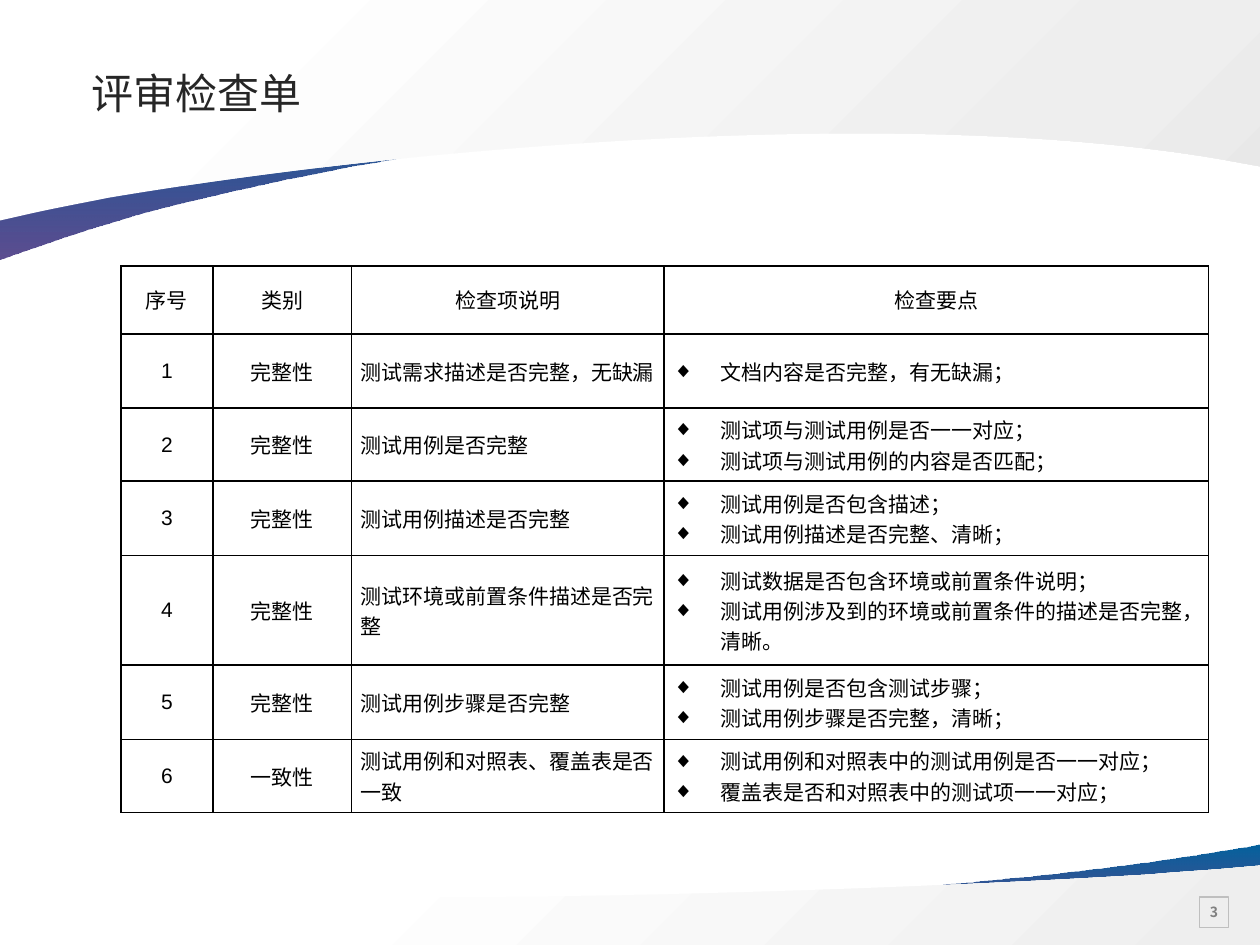
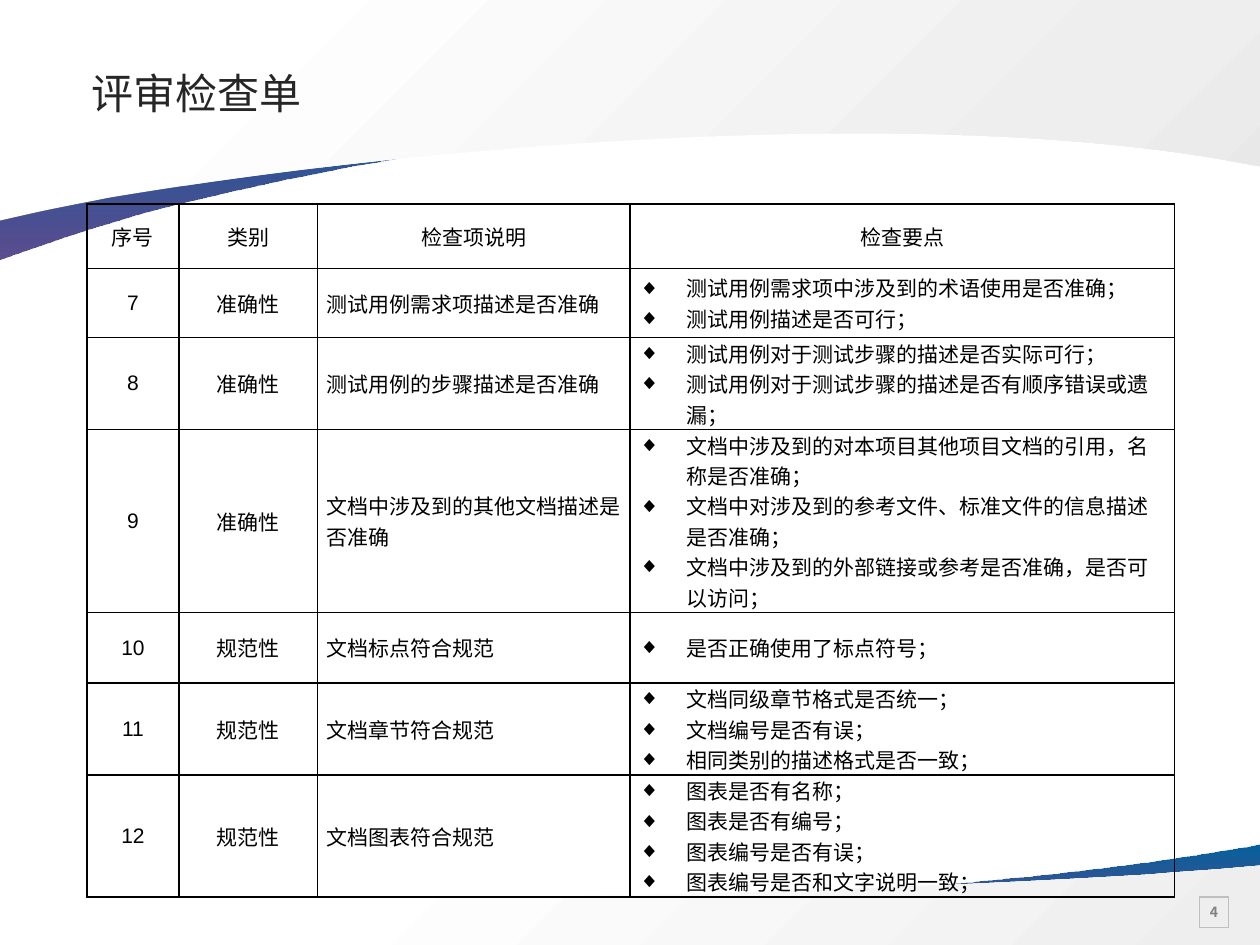
import pptx
import pptx.util
import pptx.dml.color
import pptx.enum.shapes
import pptx.enum.text
import pptx.oxml.ns
from lxml import etree

Inches, Pt, qn = pptx.util.Inches, pptx.util.Pt, pptx.oxml.ns.qn
ALIGN = pptx.enum.text.PP_ALIGN
MIDDLE = pptx.enum.text.MSO_ANCHOR.MIDDLE

# Content
TITLE = "评审检查单"
HEADINGS = ("序号", "类别", "检查项说明", "检查要点")
CHECKLISTS = [
    {
        "page": 3, "left": 0.96, "top": 2.11,
        "heights": (0.54, 0.59, 0.58, 0.59, 0.87, 0.59, 0.58),
        "checks": [
            ("完整性", "测试需求描述是否完整，无缺漏", ["文档内容是否完整，有无缺漏；"]),
            ("完整性", "测试用例是否完整",
             ["测试项与测试用例是否一一对应；", "测试项与测试用例的内容是否匹配；"]),
            ("完整性", "测试用例描述是否完整",
             ["测试用例是否包含描述；", "测试用例描述是否完整、清晰；"]),
            ("完整性", "测试环境或前置条件描述是否完整",
             ["测试数据是否包含环境或前置条件说明；",
              "测试用例涉及到的环境或前置条件的描述是否完整，清晰。"]),
            ("完整性", "测试用例步骤是否完整",
             ["测试用例是否包含测试步骤；", "测试用例步骤是否完整，清晰；"]),
            ("一致性", "测试用例和对照表、覆盖表是否一致",
             ["测试用例和对照表中的测试用例是否一一对应；",
              "覆盖表是否和对照表中的测试项一一对应；"]),
        ],
    },
    {
        "page": 4, "left": 0.69, "top": 1.62,
        "heights": (0.51, 0.55, 0.73, 1.45, 0.56, 0.73, 0.97),
        "checks": [
            ("准确性", "测试用例需求项描述是否准确",
             ["测试用例需求项中涉及到的术语使用是否准确；", "测试用例描述是否可行；"]),
            ("准确性", "测试用例的步骤描述是否准确",
             ["测试用例对于测试步骤的描述是否实际可行；",
              "测试用例对于测试步骤的描述是否有顺序错误或遗漏；"]),
            ("准确性", "文档中涉及到的其他文档描述是否准确",
             ["文档中涉及到的对本项目其他项目文档的引用，名称是否准确；",
              "文档中对涉及到的参考文件、标准文件的信息描述是否准确；",
              "文档中涉及到的外部链接或参考是否准确，是否可以访问；"]),
            ("规范性", "文档标点符合规范", ["是否正确使用了标点符号；"]),
            ("规范性", "文档章节符合规范",
             ["文档同级章节格式是否统一；", "文档编号是否有误；", "相同类别的描述格式是否一致；"]),
            ("规范性", "文档图表符合规范",
             ["图表是否有名称；", "图表是否有编号；", "图表编号是否有误；",
              "图表编号是否和文字说明一致；"]),
        ],
    },
]

# Shared look
COLORS = {"blue": "04619D", "purple": "342275", "white": "FFFFFF", "pale": "EEEEEE",
          "gray": "E8E8E8", "frame": "BFBFBF", "number": "808080",
          "title": "262626", "text": "000000"}
CJK_FONT, TABLE_FONT = "Noto Sans CJK SC", "Arial"
COLUMN_WIDTHS = (0.73, 1.1, 2.48, 4.32)
BULLET_INDENT = 0.38

# Gradient stops: position %, colour, opacity %
RIBBON = ([(0, "blue", 100), (100, "purple", 80)], 90)
# Outlines: a pair is a line to a point, a six is a Bézier curve
BANDS = [
    (RIBBON,
     [(10, 6.7), (10, 7.35), (0, 7.35), (0, 7.08), (0.01, 7.08),
      (2.26, 7.41, 6.15, 7.17, 8.39, 6.93), (8.84, 6.88, 9.35, 6.81, 9.89, 6.72)]),
    (([(26, "white", 100), (100, "pale", 100)], 45),
     [(10, 6.87), (10, 7.12), (10, 7.15), (10, 7.5), (0, 7.5), (0, 7.15), (0, 7.12),
      (0, 7.03), (0.33, 7.05),
      (2.94, 7.21, 6.83, 7.08, 9.14, 6.94), (9.34, 6.92, 9.56, 6.91, 9.78, 6.89)]),
    (RIBBON,
     [(0, 2.06), (0, 0.66), (10, 0.66), (10, 1.24), (9.99, 1.23),
      (7.74, 0.53, 3.85, 1.03, 1.61, 1.57), (1.16, 1.67, 0.65, 1.83, 0.11, 2.02)]),
    (([(17, "white", 100), (81, "pale", 100), (100, "gray", 100)], 45),
     [(0, 1.75), (0, 1.05), (0, 0.99), (0, 0), (10, 0), (10, 0.99), (10, 1.05),
      (10, 1.32), (9.67, 1.26),
      (7.06, 0.82, 3.17, 1.18, 0.86, 1.57), (0.66, 1.61, 0.44, 1.65, 0.22, 1.7)]),
]


def rgb(name):
    return pptx.dml.color.RGBColor.from_string(COLORS[name])


def format_text(paragraph, font, size, color, align, bold=False):
    paragraph.alignment = align
    for run in paragraph.runs:
        run.font.name, run.font.size, run.font.bold = font, Pt(size), bold
        run.font.color.rgb = rgb(color)
        etree.SubElement(run.font._element, qn("a:ea"), typeface=CJK_FONT)


def set_margins(frame, left, top, right, bottom):
    frame.margin_left, frame.margin_top = Inches(left), Inches(top)
    frame.margin_right, frame.margin_bottom = Inches(right), Inches(bottom)


def bend_curves(band, outline):
    """Turn the straight segments of the six-number parts into Bézier curves."""
    segments = list(band._element.spPr.find(".//" + qn("a:path")))
    for segment, part in zip(segments, outline):
        if len(part) == 6:
            curve = etree.Element(qn("a:cubicBezTo"))
            for x, y in zip(part[::2], part[1::2]):
                etree.SubElement(curve, qn("a:pt"), x=str(Inches(x) - band.left),
                                 y=str(Inches(y) - band.top))
            segment.getparent().replace(segment, curve)


def add_band(slide, gradient, outline):
    stops, angle = gradient
    points = [(Inches(part[-2]), Inches(part[-1])) for part in outline]
    builder = slide.shapes.build_freeform(*points[0])
    builder.add_line_segments(points[1:], close=True)
    band = builder.convert_to_shape()
    bend_curves(band, outline)
    band.shadow.inherit = False
    band.line.fill.background()
    band.fill.gradient()
    band.fill.gradient_angle = 360 - angle
    stop_list = band._element.spPr.find(".//" + qn("a:gsLst"))
    for old_stop in list(stop_list):
        stop_list.remove(old_stop)
    for position, color, opacity in stops:
        stop = etree.SubElement(stop_list, qn("a:gs"), pos=str(position * 1000))
        shade = etree.SubElement(stop, qn("a:srgbClr"), val=COLORS[color])
        if opacity < 100:
            etree.SubElement(shade, qn("a:alpha"), val=str(opacity * 1000))
    return band


def add_title(slide):
    title = slide.shapes.title
    title.left, title.top = Inches(0.65), Inches(0.47)
    title.width, title.height = Inches(7.76), Inches(0.58)
    frame = title.text_frame
    frame.text = TITLE
    frame.auto_size = pptx.enum.text.MSO_AUTO_SIZE.NONE
    frame.vertical_anchor = MIDDLE
    set_margins(frame, 0.08, 0.08, 0, 0.08)
    frame.paragraphs[0].line_spacing = 0.9
    format_text(frame.paragraphs[0], CJK_FONT, 24, "title", ALIGN.LEFT)


def add_page_number(slide, page):
    number = slide.shapes.add_shape(pptx.enum.shapes.MSO_SHAPE.RECTANGLE, Inches(9.52),
                                    Inches(7.12), Inches(0.23), Inches(0.24))
    number.shadow.inherit = False
    number.fill.background()
    number.line.color.rgb, number.line.width = rgb("frame"), Pt(0.75)
    frame = number.text_frame
    frame.text = str(page)
    frame.word_wrap, frame.vertical_anchor = False, MIDDLE
    set_margins(frame, 0.08, 0.08, 0.08, 0.08)
    format_text(frame.paragraphs[0], CJK_FONT, 8, "number", ALIGN.CENTER, bold=True)


def add_borders(cell):
    properties = cell._tc.get_or_add_tcPr()
    for place, side in enumerate(("lnL", "lnR", "lnT", "lnB")):
        border = etree.Element(qn("a:" + side), w=str(Pt(1)))
        fill = etree.SubElement(border, qn("a:solidFill"))
        etree.SubElement(fill, qn("a:srgbClr"), val=COLORS["text"])
        properties.insert(place, border)


def add_bullet(paragraph):
    properties = paragraph._p.get_or_add_pPr()
    indent = Inches(BULLET_INDENT)
    properties.set("marL", str(indent))
    properties.set("indent", str(-indent))
    etree.SubElement(properties, qn("a:buFont"), typeface=TABLE_FONT)
    etree.SubElement(properties, qn("a:buChar"), char="◆")


def fill_cell(cell, lines, align, bulleted):
    cell.fill.background()
    add_borders(cell)
    cell.vertical_anchor = MIDDLE
    set_margins(cell, 0.07, 0, 0.07, 0)
    cell.text_frame.text = "\n".join(lines)
    for paragraph in cell.text_frame.paragraphs:
        format_text(paragraph, TABLE_FONT, 12, "text", align)
        if bulleted:
            add_bullet(paragraph)


def add_checklist(slide, checklist, first_number):
    rows = [[[heading] for heading in HEADINGS]]
    for number, (category, item, points) in enumerate(checklist["checks"], first_number):
        rows.append([[str(number)], [category], [item], points])
    heights = checklist["heights"]
    table = slide.shapes.add_table(
        len(rows), len(HEADINGS), Inches(checklist["left"]), Inches(checklist["top"]),
        Inches(sum(COLUMN_WIDTHS)), Inches(sum(heights))).table
    table.first_row = table.horz_banding = False
    for column, width in zip(table.columns, COLUMN_WIDTHS):
        column.width = Inches(width)
    for r, (row, height) in enumerate(zip(rows, heights)):
        table.rows[r].height = Inches(height)
        for c, lines in enumerate(row):
            align = ALIGN.CENTER if r == 0 or c < 2 else ALIGN.LEFT
            fill_cell(table.cell(r, c), lines, align, bulleted=r > 0 and c == 3)


def main():
    deck = pptx.Presentation()
    deck.slide_width, deck.slide_height = Inches(10), Inches(7.5)
    layout = deck.slide_layouts[5]
    slides = [deck.slides.add_slide(layout) for _ in CHECKLISTS]

    # Bands live on the layout, behind everything else
    for place, (gradient, outline) in enumerate(BANDS, 2):
        band = add_band(slides[0], gradient, outline)
        layout.shapes._spTree.insert(place, band._element)

    first_number = 1
    for slide, checklist in zip(slides, CHECKLISTS):
        add_page_number(slide, checklist["page"])
        add_title(slide)
        add_checklist(slide, checklist, first_number)
        first_number += len(checklist["checks"])
    deck.save("out.pptx")


if __name__ == "__main__":
    main()
